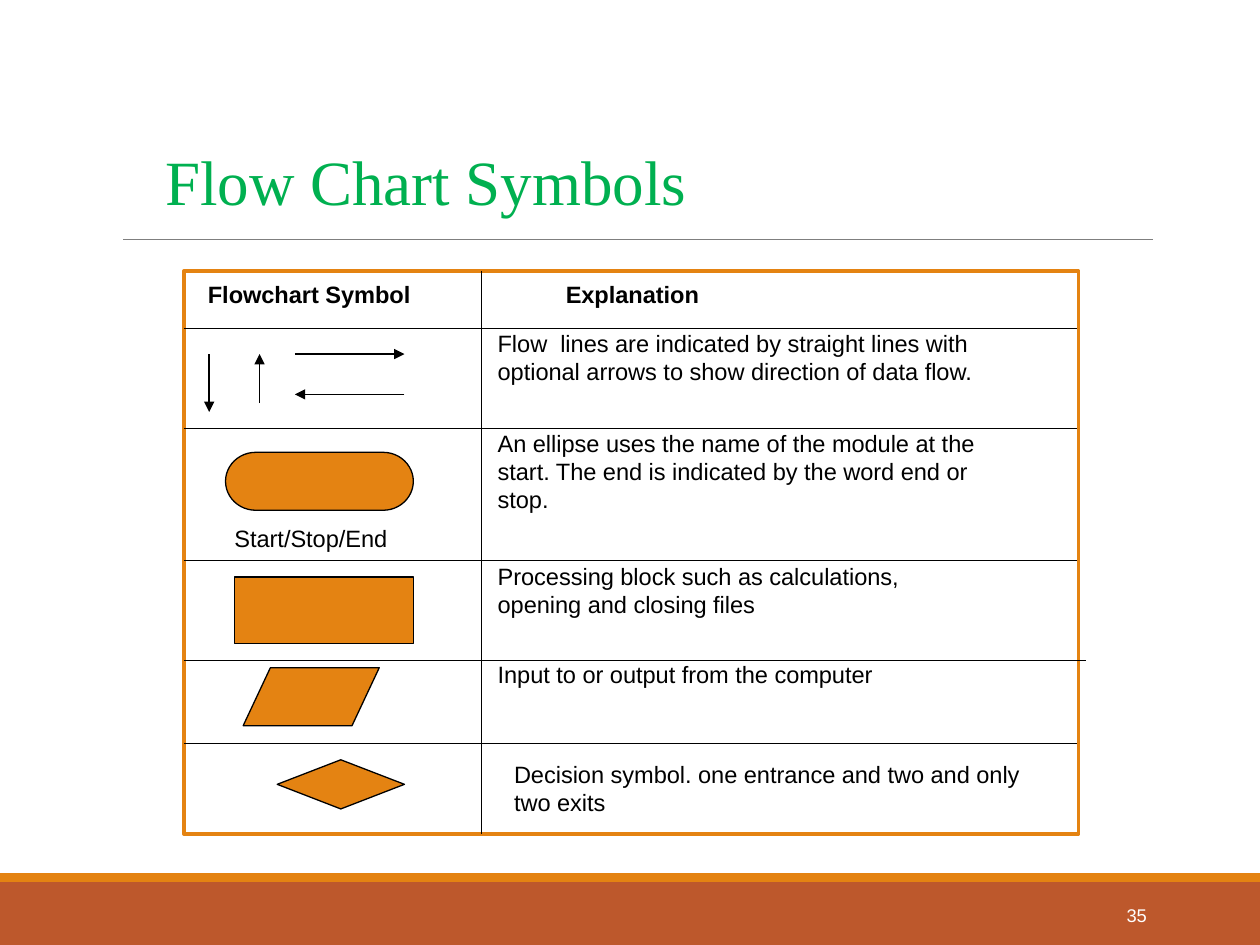
"""Builds the Flow Chart Symbols slide."""
import lxml.etree
import pptx
import pptx.dml.color
import pptx.enum.shapes
import pptx.enum.text
import pptx.oxml.ns
import pptx.util

Inches = pptx.util.Inches
Pt = pptx.util.Pt
SHAPE = pptx.enum.shapes.MSO_SHAPE
ALIGN = pptx.enum.text.PP_ALIGN
ANCHOR = pptx.enum.text.MSO_ANCHOR
qn = pptx.oxml.ns.qn

ORANGE, RUST, BLACK, WHITE = "E48312", "BD582C", "000000", "FFFFFF"
LEFT, RIGHT, TOP, BOTTOM, DIVIDER = 1.46, 8.55, 2.15, 6.62, 3.82

ROW_LINES = [(2.61, RIGHT), (3.4, RIGHT), (4.45, RIGHT), (5.24, 8.62), (5.9, RIGHT)]
FLOW_ARROWS = [
    (1.66, 2.81, 1.66, 3.27),
    (2.06, 3.2, 2.06, 2.81),
    (2.34, 2.81, 3.21, 2.81),
    (3.21, 3.13, 2.34, 3.13),
]
SYMBOLS = [
    (SHAPE.FLOWCHART_TERMINATOR, (1.79, 3.59, 1.49, 0.46)),
    (SHAPE.RECTANGLE, (1.86, 4.58, 1.42, 0.53)),
    (SHAPE.FLOWCHART_DATA, (1.93, 5.3, 1.08, 0.46)),
    (SHAPE.FLOWCHART_DECISION, (2.2, 6.03, 1.01, 0.39)),
]
HEADINGS = [
    ("Flowchart Symbol", (1.58, 2.18, 1.91, 0.32)),
    ("Explanation", (4.42, 2.18, 1.31, 0.32)),
]
CELL_TEXTS = [
    ("Flow  lines are indicated by straight lines with optional arrows "
     "to show direction of data flow.", (3.88, 2.57, 4.07, 0.79)),
    ("An ellipse uses the name of the module at the start. The end is "
     "indicated by the word end or stop.", (3.88, 3.36, 4.07, 0.79)),
    ("Start/Stop/End", (1.79, 4.12, 1.48, 0.32)),
    ("Processing block such as calculations, opening and closing files",
     (3.88, 4.42, 3.73, 0.55)),
    ("Input to or output from the computer", (3.88, 5.2, 3.4, 0.32)),
    ("Decision symbol. one entrance and two and only two exits",
     (4.01, 5.99, 4.27, 0.55)),
]


def rgb(value):
    """Turn a hex string into a colour."""
    return pptx.dml.color.RGBColor.from_string(value)


def set_all(target, values):
    """Set each attribute named in a dict of format values."""
    for name, value in values.items():
        setattr(target, name, value)


def add_shape(s, kind, box, fill, line=None, width=0.75):
    """Add a filled preset shape with an optional outline."""
    sp = s.shapes.add_shape(kind, *map(Inches, box))
    sp.shadow.inherit = False
    sp.fill.solid()
    sp.fill.fore_color.rgb = rgb(fill)
    if line:
        sp.line.color.rgb = rgb(line)
        sp.line.width = Pt(width)
    else:
        sp.line.fill.background()


def add_line(s, x1, y1, x2, y2, color=BLACK, arrow=False):
    """Add a thin straight line, with an arrowhead at its end if asked."""
    straight = pptx.enum.shapes.MSO_CONNECTOR.STRAIGHT
    cxn = s.shapes.add_connector(straight, *map(Inches, (x1, y1, x2, y2)))
    cxn.line.color.rgb = rgb(color)
    cxn.line.width = Pt(0.75)
    sp_pr = cxn._element.spPr
    if arrow:
        ln = sp_pr.find(qn("a:ln"))
        lxml.etree.SubElement(ln, qn("a:tailEnd"), type="triangle")
    lxml.etree.SubElement(sp_pr, qn("a:effectLst"))


def add_text(s, text, box, color=BLACK, font=None, para=None, frame=None):
    """Add a wrapped text box holding one paragraph."""
    tf = s.shapes.add_textbox(*map(Inches, box)).text_frame
    margins = {
        "margin_left": Inches(0.07), "margin_right": Inches(0.07),
        "margin_top": Inches(0.04), "margin_bottom": Inches(0.04),
    }
    set_all(tf, {"word_wrap": True, **margins, **(frame or {})})
    p = tf.paragraphs[0]
    set_all(p, para or {})
    r = p.add_run()
    r.text = text
    set_all(r.font, {"name": "Arial", "size": Pt(13.5), **(font or {})})
    r.font.color.rgb = rgb(color)


def add_frame(s):
    """Draw the title, its rule, the footer bands and the page number."""
    add_shape(s, SHAPE.RECTANGLE, (0, 7, 10, 0.5), RUST)
    add_shape(s, SHAPE.RECTANGLE, (0, 6.93, 10, 0.07), ORANGE)
    add_line(s, 0.98, 1.9, 9.15, 1.9, "7F7F7F")
    add_text(s, "Flow Chart Symbols", (1.24, 1.01, 9, 0.94), "00B050",
             {"name": "Times New Roman", "size": Pt(36)},
             {"line_spacing": 0.85}, {"vertical_anchor": ANCHOR.MIDDLE})
    add_text(s, "35", (8.12, 7.06, 1.08, 0.4), WHITE, {"size": Pt(10.5)},
             {"alignment": ALIGN.RIGHT},
             {"vertical_anchor": ANCHOR.MIDDLE,
              "margin_left": Inches(0.1), "margin_right": Inches(0.1)})


def add_grid(s):
    """Draw the outlined panel with its row and column lines."""
    panel = (LEFT, TOP, RIGHT - LEFT + 0.01, BOTTOM - TOP)
    add_shape(s, SHAPE.RECTANGLE, panel, WHITE, ORANGE, 2)
    for y, right in ROW_LINES:
        add_line(s, LEFT, y, right, y)
    add_line(s, DIVIDER, TOP, DIVIDER, BOTTOM)


def main():
    """Build and save the slide."""
    prs = pptx.Presentation()
    set_all(prs, {"slide_width": Inches(10), "slide_height": Inches(7.5)})
    s = prs.slides.add_slide(prs.slide_layouts[6])
    add_frame(s)
    add_grid(s)
    for ends in FLOW_ARROWS:
        add_line(s, *ends, arrow=True)
    for kind, box in SYMBOLS:
        add_shape(s, kind, box, ORANGE, BLACK)
    for text, box in HEADINGS:
        add_text(s, text, box, font={"bold": True})
    for text, box in CELL_TEXTS:
        add_text(s, text, box)
    prs.save("out.pptx")


if __name__ == "__main__":
    main()
